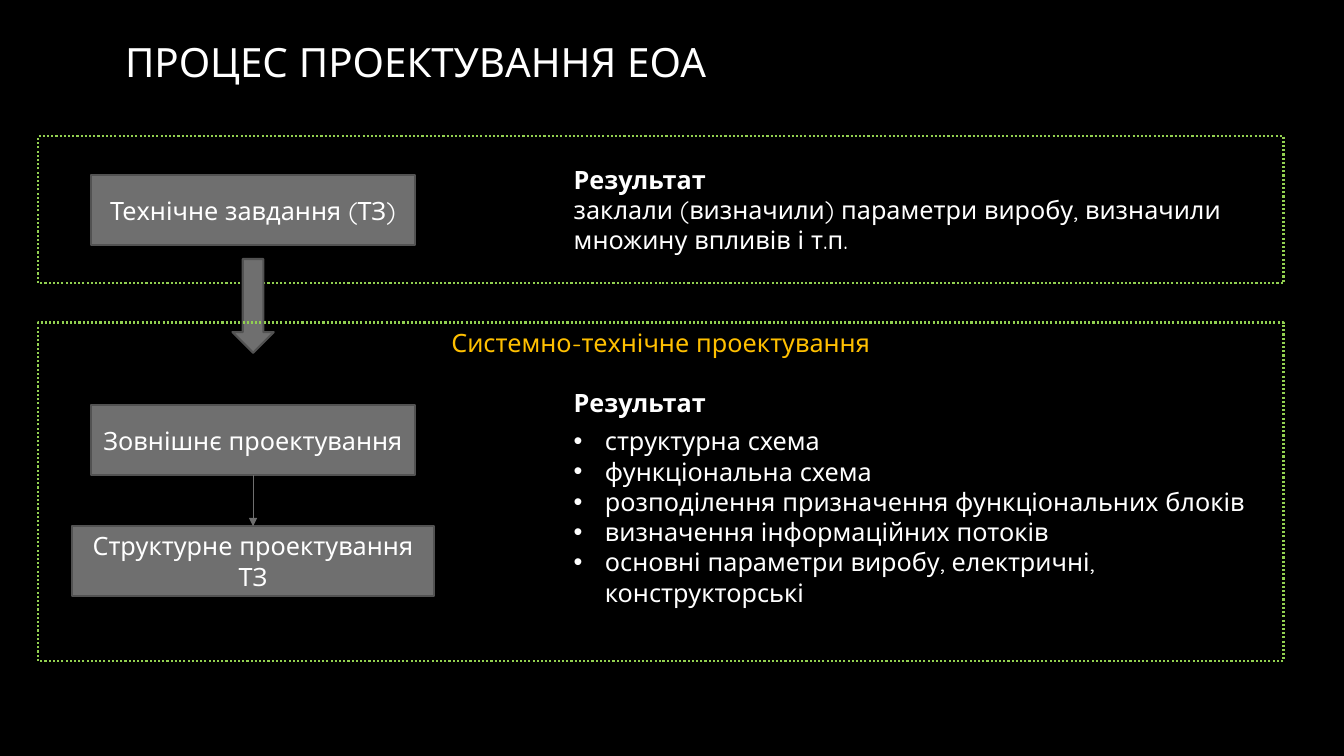
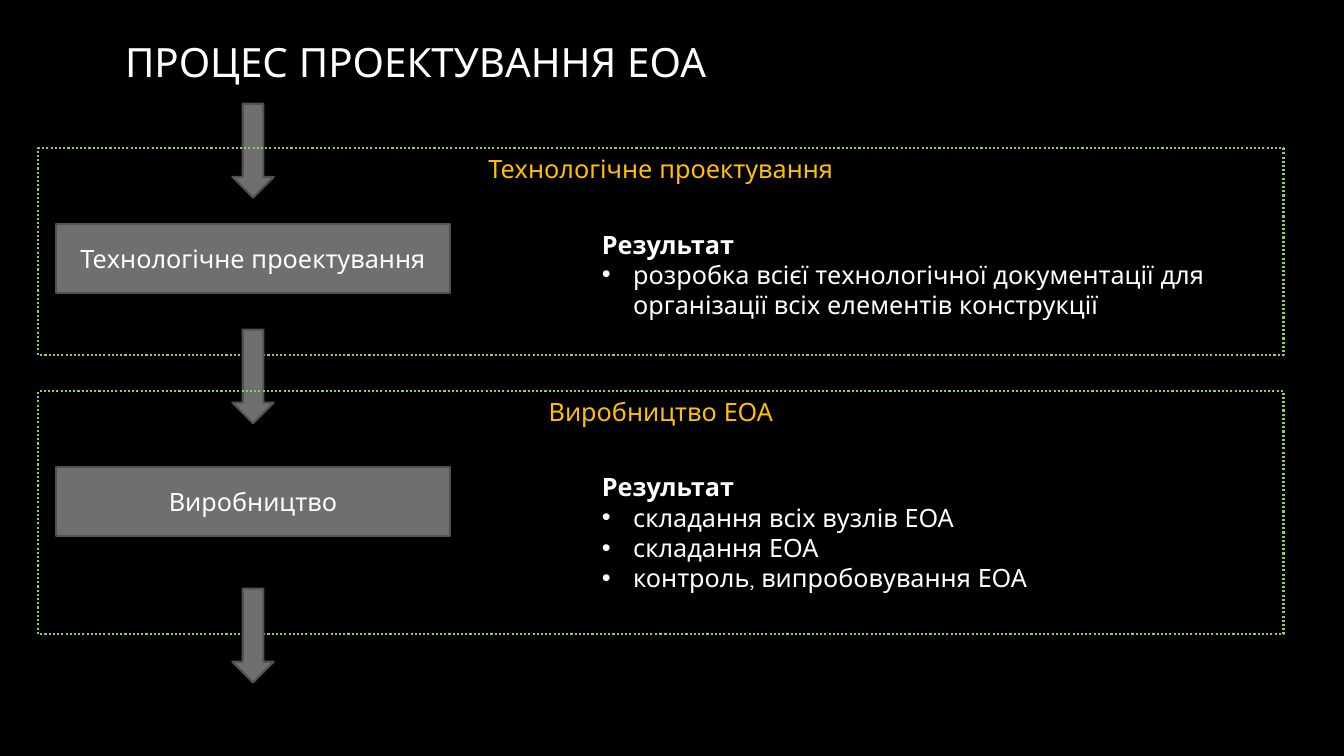
from itertools import pairwise

from lxml.etree import SubElement
from pptx import Presentation
from pptx.dml.color import RGBColor
from pptx.enum.dml import MSO_LINE
from pptx.enum.shapes import MSO_CONNECTOR, MSO_SHAPE
from pptx.enum.text import MSO_ANCHOR, MSO_AUTO_SIZE, PP_ALIGN
from pptx.oxml.ns import qn
from pptx.util import Pt

# Content: each stage has a frame, boxes (text, top, width) and a result
TITLE = "ПРОЦЕС ПРОЕКТУВАННЯ ЕОА"
RESULT = "Результат"
SLIDES = [
    {
        "stages": [
            {
                "frame": (135, 146), "caption": "", "arrow": None,
                "boxes": [("Технічне завдання (ТЗ)", 174, 322)],
                "result": (559, 158, 701, 101), "bullets": False, "gap": 0,
                "items": ["заклали (визначили) параметри виробу, "
                          "визначили множину впливів і т.п."],
            },
            {
                "frame": (320, 336), "caption": "Системно-технічне проектування",
                "arrow": 257,
                "boxes": [("Зовнішнє проектування", 402, 322),
                          ("Структурне проектування ТЗ", 522, 359)],
                "result": (559, 379, 701, 231), "bullets": True, "gap": 6,
                "items": ["структурна схема",
                          "функціональна схема",
                          "розподілення призначення функціональних блоків",
                          "визначення інформаційних потоків",
                          "основні параметри виробу, електричні, конструкторські"],
            },
        ],
        "last_arrow": None,
    },
    {
        "stages": [
            {
                "frame": (147, 205), "caption": "Технологічне проектування",
                "arrow": 103,
                "boxes": [("Технологічне проектування", 222, 390)],
                "result": (587, 222, 686, 101), "bullets": True, "gap": 0,
                "items": ["розробка всієї технологічної документації для "
                          "організації всіх елементів конструкції"],
            },
            {
                "frame": (388, 241), "caption": "Виробництво ЕОА", "arrow": 327,
                "boxes": [("Виробництво", 463, 390)],
                "result": (587, 463, 686, 131), "bullets": True, "gap": 0,
                "items": ["складання всіх вузлів ЕОА",
                          "складання ЕОА",
                          "контроль, випробовування ЕОА"],
            },
        ],
        "last_arrow": 584,
    },
]

# Shared look; 100 px make one inch
PX = 9144
FONT = "Quicksand"
BLACK, WHITE, GREY, EDGE = "000000", "FFFFFF", "6F6F6F", "525252"
GREEN, AMBER = "92D050", "FFC000"
AXIS = 251
FRAME_LEFT, FRAME_WIDTH = 38, 1235
BOX_HEIGHT = 69
ARROW_WIDTH, ARROW_HEIGHT = 41, 93
INDENT = 31


def px(*lengths):
    return [round(length * PX) for length in lengths]


def color(hex_code):
    return RGBColor.from_string(hex_code)


def place(shape, *area):
    shape.left, shape.top, shape.width, shape.height = px(*area)


def style(para, size, ink, align=PP_ALIGN.LEFT, bold=False):
    para.font.name = FONT
    para.font.size = Pt(size)
    para.font.color.rgb = color(ink)
    para.font.bold = bold
    para.alignment = align


def set_bullet(para, bullet):
    props = para._p.get_or_add_pPr()
    indent = INDENT * PX if bullet else 0
    props.set("marL", str(indent))
    props.set("indent", str(-indent))
    if bullet:
        SubElement(props, qn("a:buFont"), typeface="Arial")
        SubElement(props, qn("a:buChar"), char="•")
    else:
        SubElement(props, qn("a:buNone"))


def add_figure(page, kind, area, line, fill=None, text="", ink=WHITE,
               anchor=MSO_ANCHOR.MIDDLE):
    shape = page.shapes.add_shape(kind, *px(*area))
    shape.shadow.inherit = False
    if fill:
        shape.fill.solid()
        shape.fill.fore_color.rgb = color(fill)
    else:
        shape.fill.background()
    shape.line.color.rgb = color(line)
    shape.line.width = Pt(1.5)
    if text:
        shape.text_frame.text = text
        shape.text_frame.vertical_anchor = anchor
        style(shape.text_frame.paragraphs[0], 18, ink, PP_ALIGN.CENTER)
    return shape


def add_arrow(page, top):
    area = (AXIS - ARROW_WIDTH / 2, top, ARROW_WIDTH, ARROW_HEIGHT)
    add_figure(page, MSO_SHAPE.DOWN_ARROW, area, EDGE, GREY)


def add_link(page, upper, lower):
    link = page.shapes.add_connector(MSO_CONNECTOR.STRAIGHT, 0, 0, 0, 0)
    link.begin_connect(upper, 2)
    link.end_connect(lower, 0)
    link.line.color.rgb = color(GREY)
    link.line.width = Pt(0.75)
    SubElement(link.line._get_or_add_ln(), qn("a:tailEnd"), type="triangle")
    SubElement(link._element.spPr, qn("a:effectLst"))


def fill_result(body, stage):
    place(body, *stage["result"])
    frame = body.text_frame
    frame.auto_size = MSO_AUTO_SIZE.NONE
    frame.text = "\n".join([RESULT, *stage["items"]])
    for number, para in enumerate(frame.paragraphs):
        heading = number == 0
        style(para, 18, WHITE, bold=heading)
        para.space_before = Pt(stage["gap"] if number == 1 else 0)
        set_bullet(para, stage["bullets"] and not heading)


def add_stage(page, body, stage):
    if stage["arrow"] is not None:
        add_arrow(page, stage["arrow"])
    boxes = [
        add_figure(page, MSO_SHAPE.RECTANGLE,
                   (AXIS - width / 2, top, width, BOX_HEIGHT), EDGE, GREY, text)
        for text, top, width in stage["boxes"]
    ]
    for upper, lower in pairwise(boxes):
        add_link(page, upper, lower)
    top, height = stage["frame"]
    outline = add_figure(page, MSO_SHAPE.RECTANGLE,
                         (FRAME_LEFT, top, FRAME_WIDTH, height), GREEN,
                         text=stage["caption"], ink=AMBER, anchor=MSO_ANCHOR.TOP)
    outline.line.dash_style = MSO_LINE.ROUND_DOT
    fill_result(body, stage)


def add_page(deck, layout, content):
    page = deck.slides.add_slide(layout)
    title, *bodies = page.placeholders
    title.text_frame.text = TITLE
    title.text_frame.auto_size = MSO_AUTO_SIZE.NONE
    style(title.text_frame.paragraphs[0], 28.8, WHITE)
    for body, stage in zip(bodies, content["stages"]):
        add_stage(page, body, stage)
    if content["last_arrow"] is not None:
        add_arrow(page, content["last_arrow"])


def main():
    deck = Presentation()
    deck.slide_width, deck.slide_height = px(1333, 750)
    # Black background and title position for every slide
    backdrop = deck.slide_master.background.fill
    backdrop.solid()
    backdrop.fore_color.rgb = color(BLACK)
    layout = deck.slide_layouts.get_by_name("Two Content")
    place(layout.placeholders[0], 114, 36, 1083, 50)
    for content in SLIDES:
        add_page(deck, layout, content)
    deck.save("out.pptx")


if __name__ == "__main__":
    main()
